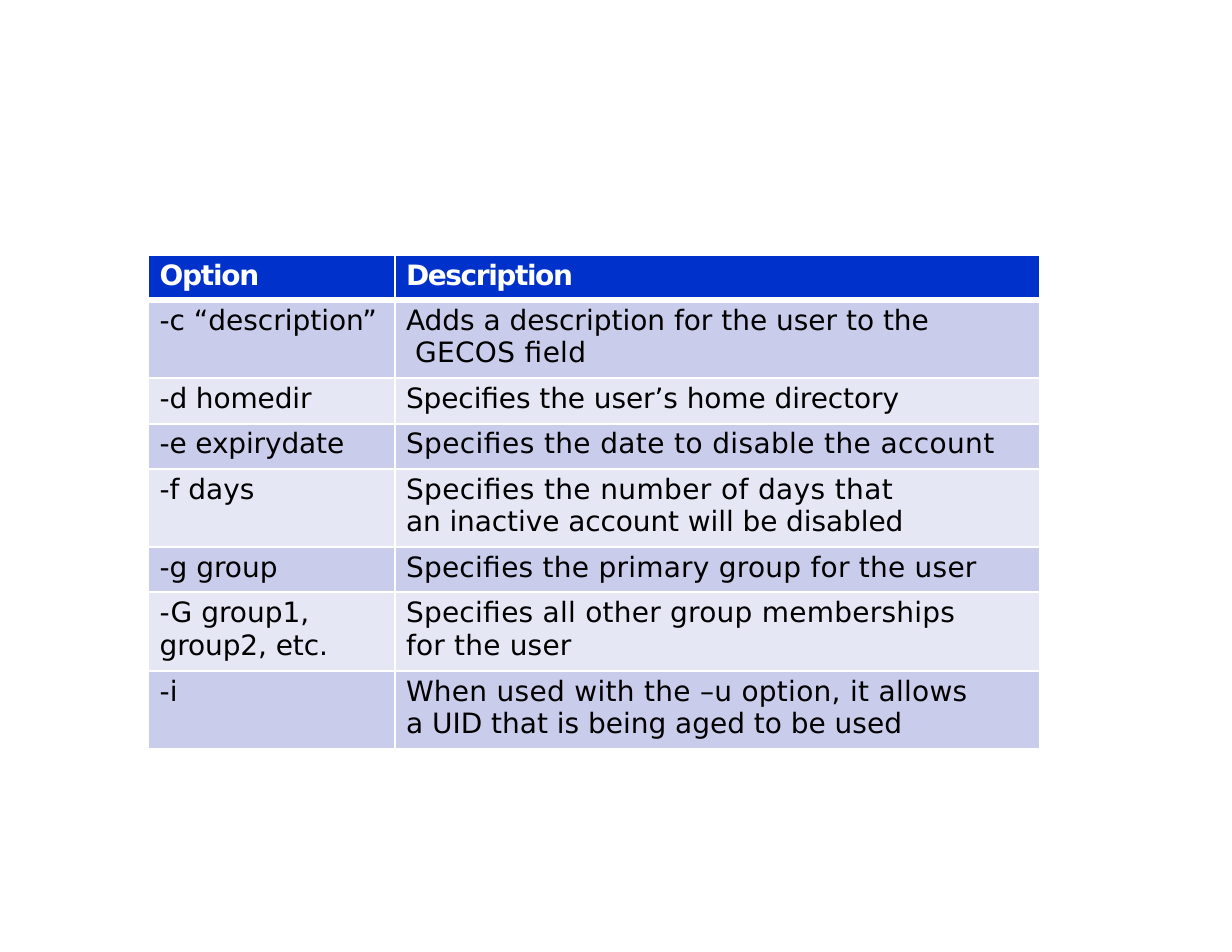
from dataclasses import dataclass

from lxml import etree
from pptx import Presentation
from pptx.dml.color import RGBColor
from pptx.enum.text import MSO_ANCHOR, PP_ALIGN
from pptx.oxml.ns import qn
from pptx.util import Pt

TOP = MSO_ANCHOR.TOP
LEFT = PP_ALIGN.LEFT
BLANK_LAYOUT = 6


@dataclass(frozen=True)
class Theme:
    font: str = "DejaVu Sans"
    size: float = 18
    text: str = "000000"
    header_text: str = "FFFFFF"
    header_fill: str = "0032CB"
    bands: tuple = ("CACCEB", "E6E7F5")
    border: str = "FFFFFF"
    thin: float = 1
    line: float = 1.5
    thick: float = 4.25


# Each cell is a list of lines: (text, letter spacing in points).
HEADER = [[("Option", -0.8)], [("Description", -0.9)]]
OPTIONS = [
    [[("-c “description”", 0)],
     [("Adds a description for the user to the", 0), (" GECOS field", 0.2)]],
    [[("-d homedir", -0.08)],
     [("Specifies the user’s home directory", -0.07)]],
    [[("-e expirydate", -0.08)],
     [("Specifies the date to disable the account", 0.25)]],
    [[("-f days", 0)],
     [("Specifies the number of days that", 0.25),
      ("an inactive account will be disabled", -0.07)]],
    [[("-g group", 0)],
     [("Specifies the primary group for the user", 0.17)]],
    [[("-G group1,", 0), ("group2, etc.", -0.07)],
     [("Specifies all other group memberships", 0.18),
      ("for the user", 0.14)]],
    [[("-i", 0.1)],
     [("When used with the –u option, it allows", 0.2),
      ("a UID that is being aged to be used", 0)]],
]
COLUMN_WIDTHS = (158.4, 414.7)
ROW_HEIGHTS = {1: 29, 2: 50.5}  # by number of text lines


class SlideBuilder:
    def __init__(self, prs, theme):
        self.theme = theme
        self.s = prs.slides.add_slide(prs.slide_layouts[BLANK_LAYOUT])

    def table(self, left, top, widths, rows):
        heights = [ROW_HEIGHTS[max(map(len, row))] for row in rows]
        table = self.s.shapes.add_table(
            len(rows), len(widths), Pt(left), Pt(top),
            Pt(sum(widths)), Pt(sum(heights))).table
        table.horz_banding = False
        for column, width in zip(table.columns, widths):
            column.width = Pt(width)
        for i, (row, height) in enumerate(zip(rows, heights)):
            table.rows[i].height = Pt(height)
            for j, lines in enumerate(row):
                cell = table.cell(i, j)
                self.borders(cell, i, j == len(widths) - 1)
                self.cell(cell, lines, i)

    def cell(self, cell, lines, row):
        theme = self.theme
        is_header = row == 0
        fill = theme.header_fill if is_header else theme.bands[(row - 1) % 2]
        layout = {"margin_left": Pt(7.2), "margin_top": Pt(2.88),
                  "margin_right": 0, "margin_bottom": 0,
                  "vertical_anchor": TOP}
        for name, value in layout.items():
            setattr(cell, name, value)
        cell.fill.solid()
        cell.fill.fore_color.rgb = RGBColor.from_string(fill)

        p = cell.text_frame.paragraphs[0]
        p.alignment = LEFT
        p.space_before = Pt(2.75)
        style = {"name": theme.font, "size": Pt(theme.size), "bold": is_header}
        color = theme.header_text if is_header else theme.text
        for n, (text, spacing) in enumerate(lines):
            if n:
                p.add_line_break()
            r = p.add_run()
            r.text = text
            for name, value in style.items():
                setattr(r.font, name, value)
            r.font.color.rgb = RGBColor.from_string(color)
            r._r.get_or_add_rPr().set("spc", str(round(spacing * 100)))

    def borders(self, cell, row, is_last_column):
        """Add the four cell borders; call before the cell gets its fill."""
        theme = self.theme
        widths = {
            "a:lnL": theme.line,
            "a:lnR": theme.thin if is_last_column else theme.line,
            "a:lnT": theme.thick if row == 1 else theme.line,
            "a:lnB": theme.thick if row == 0 else theme.line,
        }
        tc_pr = cell._tc.get_or_add_tcPr()
        for tag, width in widths.items():
            ln = etree.SubElement(tc_pr, qn(tag), w=str(Pt(width)))
            fill = etree.SubElement(ln, qn("a:solidFill"))
            etree.SubElement(fill, qn("a:srgbClr"), val=theme.border)


def main():
    prs = Presentation()
    prs.slide_width, prs.slide_height = Pt(792), Pt(612)
    builder = SlideBuilder(prs, Theme())
    builder.table(95.4, 163.8, COLUMN_WIDTHS, [HEADER] + OPTIONS)
    prs.save("out.pptx")


if __name__ == "__main__":
    main()
